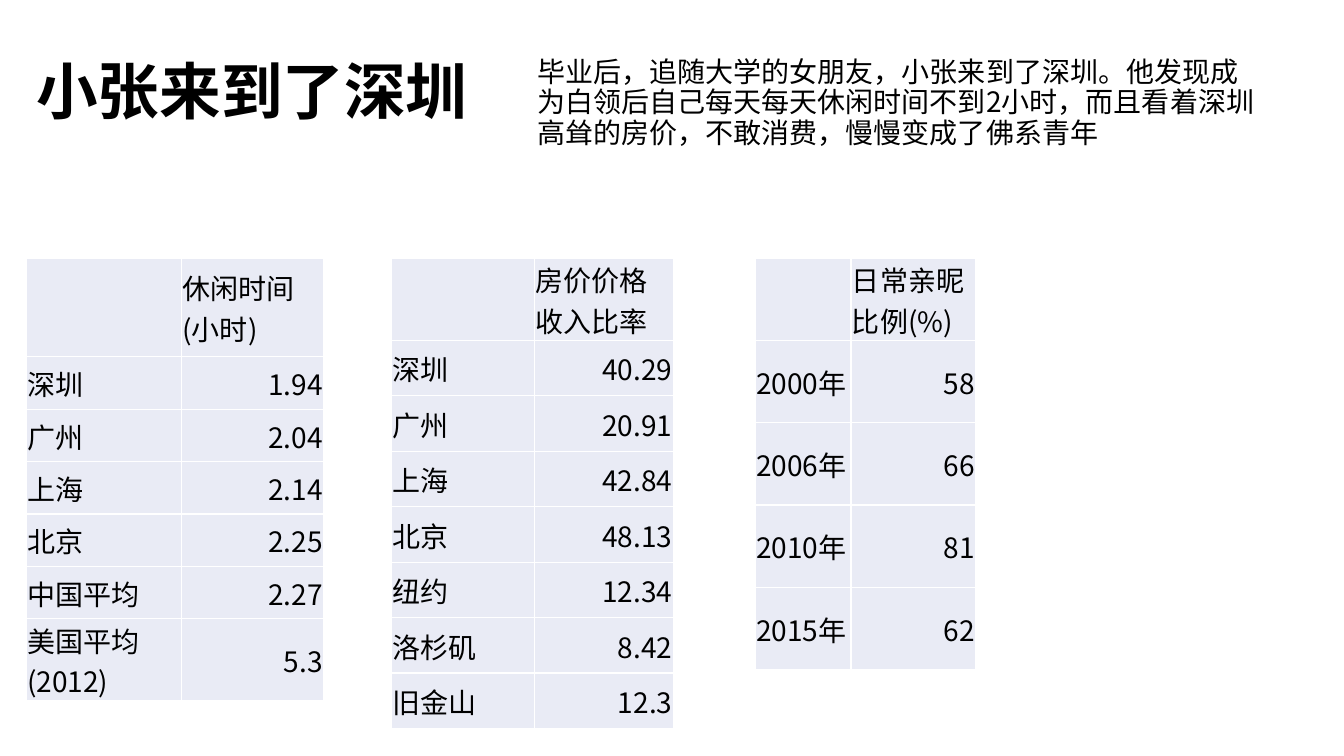
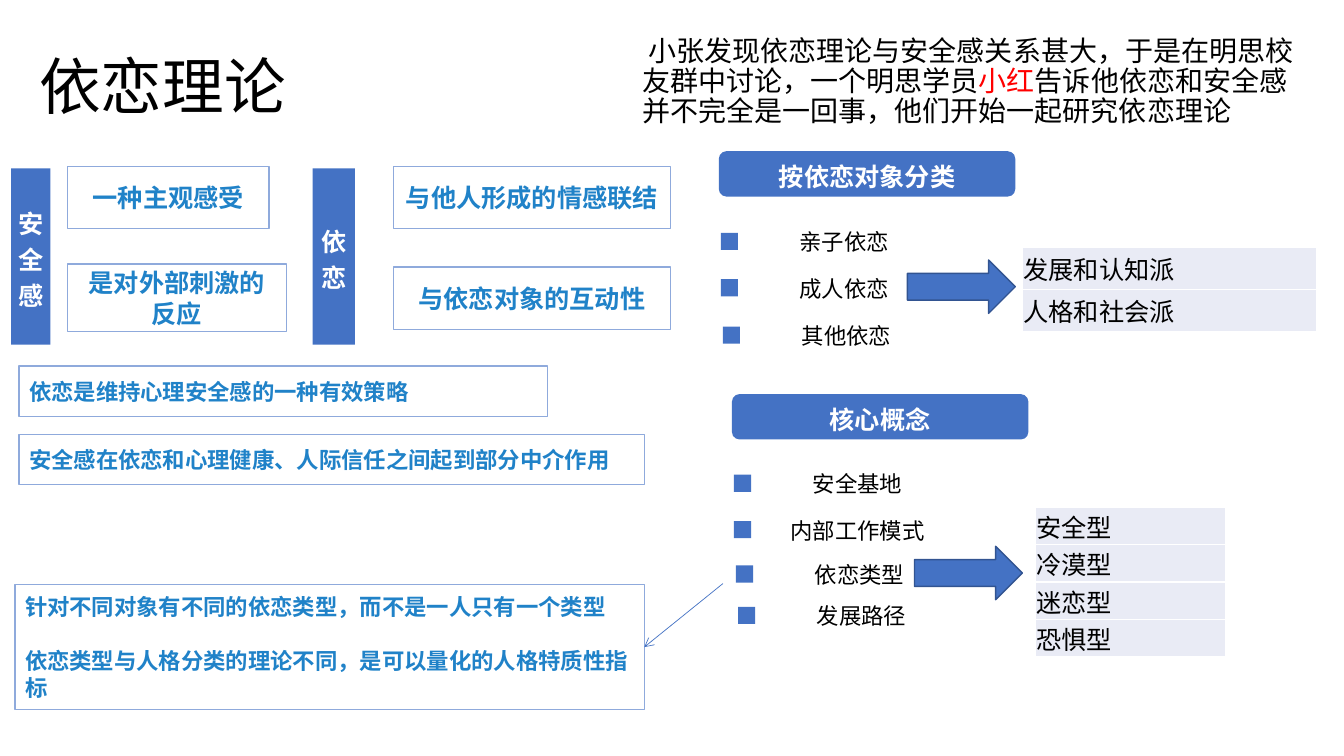
import pptx
import pptx.util
import pptx.dml.color
import pptx.enum.shapes
import pptx.enum.text
import pptx.oxml
import pptx.oxml.ns
import lxml.etree

Inches = pptx.util.Inches
Pt = pptx.util.Pt
RGBColor = pptx.dml.color.RGBColor
SHAPE = pptx.enum.shapes.MSO_SHAPE
ALIGN = pptx.enum.text.PP_ALIGN
ANCHOR = pptx.enum.text.MSO_ANCHOR
qn = pptx.oxml.ns.qn

FONT = "Noto Sans CJK SC"
BLACK = RGBColor(0x00, 0x00, 0x00)
WHITE = RGBColor(0xFF, 0xFF, 0xFF)
RED = RGBColor(0xFF, 0x00, 0x00)
BLUE = RGBColor(0x44, 0x72, 0xC4)
DARK_BLUE = RGBColor(0x32, 0x54, 0x91)
PALE_BLUE = RGBColor(0x8F, 0xAA, 0xDC)
TEXT_BLUE = RGBColor(0x20, 0x82, 0xC8)
CELL_FILL = RGBColor(0xE9, 0xEB, 0xF5)


def add_span(para, text, size, color=BLACK, bold=False):
    span = para.add_run()
    span.text = text
    span.font.size = Pt(size)
    span.font.name = FONT
    span.font.bold = bold
    span.font.color.rgb = color
    lxml.etree.SubElement(span._r.get_or_add_rPr(), qn("a:ea"), typeface=FONT)


def write(frame, paras, size, color=BLACK, bold=False, align=ALIGN.LEFT,
          spacing=1.0, gap=0, anchor=ANCHOR.MIDDLE):
    frame.word_wrap = True
    frame.auto_size = pptx.enum.text.MSO_AUTO_SIZE.NONE
    frame.vertical_anchor = anchor
    for index, text in enumerate(paras):
        para = frame.add_paragraph() if index else frame.paragraphs[0]
        para.alignment = align
        para.line_spacing = spacing
        para.space_before = Pt(gap if index else 0)
        add_span(para, text, size, color, bold)


def add_block(shapes, kind, box, fill=None, line=None):
    block = shapes.add_shape(kind, *map(Inches, box))
    block.shadow.inherit = False
    if fill is None:
        block.fill.background()
    else:
        block.fill.solid()
        block.fill.fore_color.rgb = fill
    if line is None:
        block.line.fill.background()
    else:
        block.line.color.rgb = line
        block.line.width = Pt(1)
    return block


def add_page(deck, title, title_box, bold, story, story_box):
    page = deck.slides.add_slide(deck.slide_layouts[5])
    heading = page.shapes.title
    heading.left, heading.top, heading.width, heading.height = map(Inches, title_box)
    write(heading.text_frame, [title], 44, bold=bold, spacing=0.9)
    intro = page.shapes.add_textbox(*map(Inches, story_box)).text_frame
    write(intro, story[:1], 20, spacing=0.9, anchor=ANCHOR.TOP)
    for text, color in story[1:]:
        add_span(intro.paragraphs[0], text, 20, color)
    return page


def add_cell_borders(cell):
    properties = cell._tc.get_or_add_tcPr()
    for side in ("lnL", "lnR", "lnT", "lnB"):
        border = lxml.etree.SubElement(properties, qn("a:" + side), w=str(Pt(1)))
        fill = lxml.etree.SubElement(border, qn("a:solidFill"))
        lxml.etree.SubElement(fill, qn("a:srgbClr"), val=str(WHITE))


def add_grid(page, left, top, widths, heights, rows, size):
    frame = page.shapes.add_table(len(rows), len(widths), Inches(left), Inches(top),
                                  Inches(sum(widths)), Inches(sum(heights)))
    table = frame.table
    table.first_row = table.horz_banding = False
    for column, width in zip(table.columns, widths):
        column.width = Inches(width)
    for r, (height, texts) in enumerate(zip(heights, rows)):
        table.rows[r].height = Inches(height)
        for c, text in enumerate(texts):
            cell = table.cell(r, c)
            add_cell_borders(cell)
            cell.fill.solid()
            cell.fill.fore_color.rgb = CELL_FILL
            cell.margin_left = cell.margin_right = cell.margin_top = Inches(0.01)
            cell.margin_bottom = 0
            cell.vertical_anchor = ANCHOR.MIDDLE
            if text:
                para = cell.text_frame.paragraphs[0]
                para.alignment = ALIGN.RIGHT if r and c else ALIGN.LEFT
                add_span(para, text, size)


def add_pillar(page, box, text):
    pillar = add_block(page.shapes, SHAPE.RECTANGLE, box, BLUE)
    frame = pillar.text_frame
    frame.margin_left = frame.margin_right = 0
    write(frame, [text], 18, WHITE, True, ALIGN.CENTER, 1.2)


def add_note(page, box, paras, size=16, align=ALIGN.LEFT, gap=0):
    note = add_block(page.shapes, SHAPE.RECTANGLE, box, line=PALE_BLUE)
    write(note.text_frame, paras, size, TEXT_BLUE, True, align, gap=gap)


def add_bullet(page, left, top, text):
    group = page.shapes.add_group_shape()
    add_block(group.shapes, SHAPE.RECTANGLE, (left, top, 0.17, 0.17), BLUE)
    label = group.shapes.add_textbox(*map(Inches, (left + 0.41, top - 0.1, 1.63, 0.38)))
    write(label.text_frame, [text], 16, align=ALIGN.CENTER)


def add_branch(page, left, top, title, bullets, arrow, kinds, kinds_top, width, height):
    header = add_block(page.shapes, SHAPE.ROUNDED_RECTANGLE, (left, top, 2.94, 0.45), BLUE)
    write(header.text_frame, [title], 18, WHITE, True, ALIGN.CENTER, 1.2)
    for x, y, text in bullets:
        add_bullet(page, left + x, top + y, text)
    add_block(page.shapes, SHAPE.RIGHT_ARROW,
              (left + arrow[0], top + arrow[1], 1.07, 0.53), BLUE, DARK_BLUE)
    add_grid(page, left + 3.01, top + kinds_top, [width], [height] * len(kinds),
             [[kind] for kind in kinds], 18)


def add_pointer(page, start, end):
    pointer = page.shapes.add_connector(pptx.enum.shapes.MSO_CONNECTOR.STRAIGHT,
                                        *map(Inches, start + end))
    pointer.line.color.rgb = BLUE
    pointer.line.width = Pt(0.5)
    properties = pointer.element.spPr
    lxml.etree.SubElement(properties.find(qn("a:ln")), qn("a:tailEnd"), type="arrow")
    lxml.etree.SubElement(properties, qn("a:effectLst"))


def build_city_page(deck):
    page = add_page(
        deck, "小张来到了深圳", (0.26, 0.21, 5.06, 1.45), True,
        ["毕业后，追随大学的女朋友，小张来到了深圳。他发现成为白领后自己每天每天休闲时间不到2小时，"
         "而且看着深圳高耸的房价，不敢消费，慢慢变成了佛系青年"],
        (5.23, 0.53, 7.36, 1.13))
    leisure = [("", "休闲时间(小时)"), ("深圳", "1.94"), ("广州", "2.04"), ("上海", "2.14"),
               ("北京", "2.25"), ("中国平均", "2.27"), ("美国平均(2012)", "5.3")]
    housing = [("", "房价价格收入比率"), ("深圳", "40.29"), ("广州", "20.91"), ("上海", "42.84"),
               ("北京", "48.13"), ("纽约", "12.34"), ("洛杉矶", "8.42"), ("旧金山", "12.3")]
    intimacy = [("", "日常亲昵比例(%)"), ("2000年", "58"), ("2006年", "66"),
                ("2010年", "81"), ("2015年", "62")]
    for left, widths, heights, rows in (
            (0.26, (1.54, 1.41), [0.98] + [0.52] * 5 + [0.77], leisure),
            (3.88, (1.42, 1.38), [0.55] * len(housing), housing),
            (7.49, (0.95, 1.24), [0.55] * len(intimacy), intimacy)):
        add_grid(page, left, 2.56, widths, heights, rows, 20)


def build_theory_page(deck):
    page = add_page(
        deck, "依恋理论", (0.29, 0.16, 7.3, 1.45), False,
        [" 小张发现依恋理论与安全感关系甚大，于是在明思校友群中讨论，一个明思学员",
         ("小红", RED),
         ("告诉他依恋和安全感并不完全是一回事，他们开始一起研究依恋理论", BLACK)],
        (6.27, 0.32, 6.83, 1.1))
    add_pillar(page, (0.11, 1.67, 0.39, 1.75), "安全感")
    add_pillar(page, (3.1, 1.67, 0.42, 1.75), "依恋")
    for box, text in (((0.67, 1.65, 2, 0.62), "一种主观感受"),
                      ((0.67, 2.62, 2.17, 0.67), "是对外部刺激的反应"),
                      ((3.9, 1.65, 2.75, 0.62), "与他人形成的情感联结"),
                      ((3.9, 2.65, 2.75, 0.62), "与依恋对象的互动性")):
        add_note(page, box, [text], 18, ALIGN.CENTER)
    add_note(page, (0.19, 3.63, 5.24, 0.5), ["依恋是维持心理安全感的一种有效策略"])
    add_note(page, (0.19, 4.31, 6.2, 0.5), ["安全感在依恋和心理健康、人际信任之间起到部分中介作用"])
    add_note(page, (0.15, 5.8, 6.24, 1.24),
             ["针对不同对象有不同的依恋类型，而不是一人只有一个类型",
              "依恋类型与人格分类的理论不同，是可以量化的人格特质性指标"], gap=19)
    add_branch(page, 7.13, 1.5, "按依恋对象分类",
               [(0.02, 0.81, "亲子依恋"), (0.02, 1.27, "成人依恋"), (0.04, 1.74, "其他依恋")],
               (1.87, 1.08), ["发展和认知派", "人格和社会派"], 0.95, 2.92, 0.42)
    add_branch(page, 7.26, 3.91, "核心概念",
               [(0.02, 0.8, "安全基地"), (0.02, 1.26, "内部工作模式"),
                (0.04, 1.7, "依恋类型"), (0.06, 2.11, "发展路径")],
               (1.81, 1.51), ["安全型", "冷漠型", "迷恋型", "恐惧型"], 1.12, 1.89, 0.33)
    add_pointer(page, (7.17, 5.79), (6.39, 6.42))


deck = pptx.Presentation()
deck.slide_width, deck.slide_height = Inches(13.33), Inches(7.5)
build_city_page(deck)
build_theory_page(deck)
deck.save("out.pptx")
